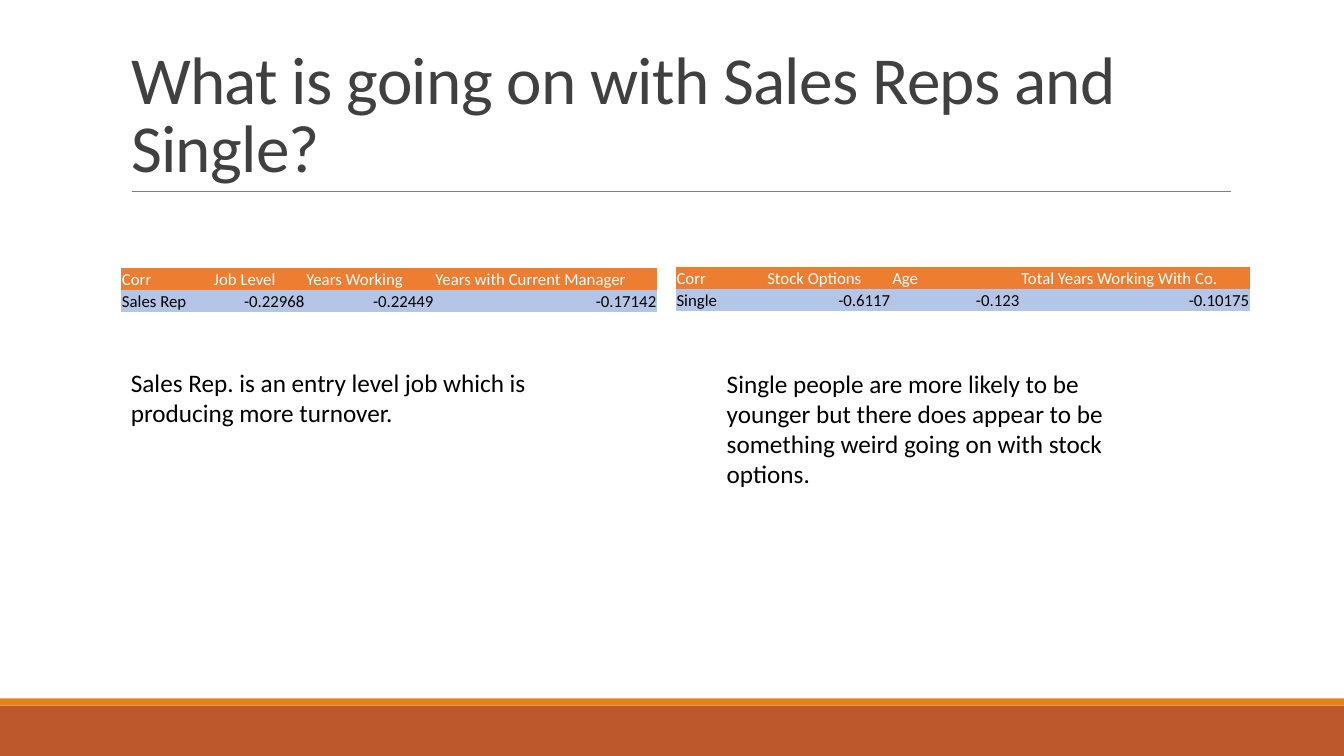
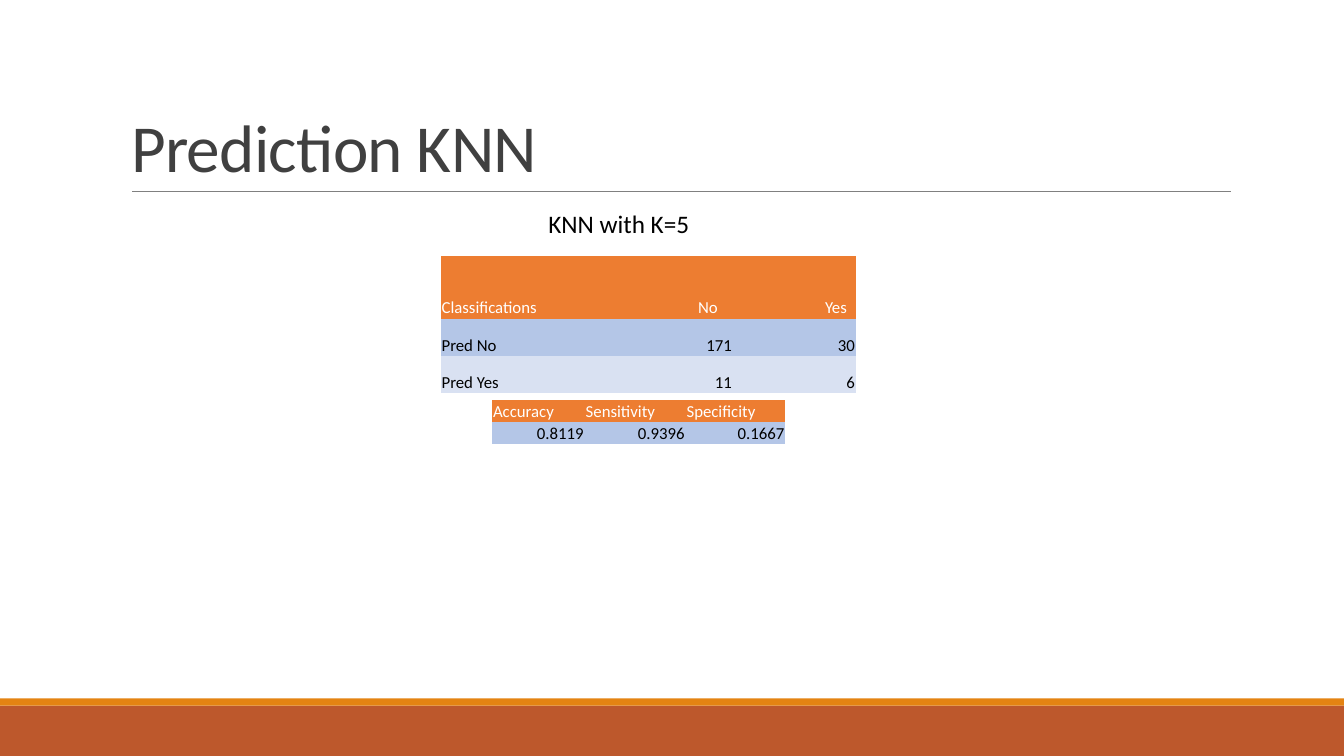
from lxml.etree import SubElement
from pptx import Presentation
from pptx.dml.color import RGBColor
from pptx.enum.shapes import MSO_CONNECTOR, MSO_SHAPE
from pptx.enum.text import MSO_ANCHOR, MSO_AUTO_SIZE, PP_ALIGN
from pptx.oxml.ns import qn
from pptx.util import Inches, Pt

FONT = "Calibri"
HEADER = "ED7D31"
BANDS = ["B4C6E7", "D9E1F2"]
NO_STYLE = "{2D5ABB26-0587-4C30-8999-92F81FD0307C}"
W, H = 13.33, 7.5
LEFT, RULE_Y = 1.2, 1.9


def color(hex_code):
    return RGBColor.from_string(hex_code)


def add_run(p, text, size, hex_code):
    r = p.add_run()
    r.text = text
    r.font.name = FONT
    r.font.size = Pt(size)
    r.font.color.rgb = color(hex_code)
    return r


prs = Presentation()
prs.slide_width, prs.slide_height = Inches(W), Inches(H)
layout = prs.slide_layouts[5]

slides = [
    {
        "title": "What is going on with Sales Reps and Single?",
        "tables": [
            {"at": (LEFT, 2.66), "cols": [0.91, 0.92, 1.28, 2.21], "rows": [0.22, 0.22],
             "cells": [["Corr", "Job Level", "Years Working", "Years with Current Manager"],
                       ["Sales Rep", "-0.22968", "-0.22449", "-0.17142"]]},
            {"at": (6.7, 2.65), "cols": [0.9, 1.24, 1.28, 2.28], "rows": [0.22, 0.22],
             "cells": [["Corr", "Stock Options", "Age", "Total Years Working With Co."],
                       ["Single", "-0.6117", "-0.123", "-0.10175"]]},
        ],
        "texts": [
            (LEFT, 3.59, 4.77, 0.71,
             "Sales Rep. is an entry level job which is producing more turnover."),
            (7.11, 3.6, 4.34, 1.31,
             "Single people are more likely to be younger but there does appear "
             "to be something weird going on with stock options."),
        ],
    },
    {
        "title": "Prediction KNN",
        "tables": [
            {"at": (4.37, 2.54), "cols": [1.68, 1.22, 1.22], "rows": [0.62, 0.37, 0.37],
             "header_insets": {1: 0.15, 2: 0.09},
             "cells": [["Classifications", "No", "Yes"],
                       ["Pred No", "171", "30"],
                       ["Pred Yes", "11", "6"]]},
            {"at": (4.88, 3.97), "cols": [0.92, 1, 0.99], "rows": [0.22, 0.22],
             "cells": [["Accuracy", "Sensitivity", "Specificity"],
                       ["0.8119", "0.9396", "0.1667"]]},
        ],
        "texts": [(5.34, 2.02, 3.41, 0.4, "KNN with K=5")],
    },
]

for number, content in enumerate(slides):
    s = prs.slides.add_slide(layout)

    if number == 0:
        for top, height, fill in [(7, 0.5, "BD582C"), (6.93, 0.07, "E48312")]:
            band = s.shapes.add_shape(MSO_SHAPE.RECTANGLE, 0, Inches(top), Inches(W), Inches(height))
            band.shadow.inherit = False
            band.fill.solid()
            band.fill.fore_color.rgb = color(fill)
            band.line.fill.background()
            layout.shapes.element.append(band.element)
        rule = s.shapes.add_connector(MSO_CONNECTOR.STRAIGHT, Inches(1.31), Inches(RULE_Y),
                                      Inches(12.21), Inches(RULE_Y))
        rule.line.color.rgb = color("808080")
        rule.line.width = Pt(0.5)
        SubElement(rule.element.spPr, qn("a:effectLst"))
        layout.shapes.element.append(rule.element)

    title = s.shapes.title
    title.left, title.top = Inches(LEFT), Inches(0.31)
    title.width, title.height = Inches(11), Inches(RULE_Y - 0.31)
    tf = title.text_frame
    tf.word_wrap = True
    tf.auto_size = MSO_AUTO_SIZE.NONE
    tf.vertical_anchor = MSO_ANCHOR.BOTTOM
    p = tf.paragraphs[0]
    p.alignment = PP_ALIGN.LEFT
    p.line_spacing = 0.85
    r = add_run(p, content["title"], 48, "404040")
    r.font.element.set("spc", "-50") if hasattr(r.font, "element") else r._r.get_or_add_rPr().set("spc", "-50")

    for spec_table in content["tables"]:
        cols, rows, cells = spec_table["cols"], spec_table["rows"], spec_table["cells"]
        insets = spec_table.get("header_insets", {})
        left, top = spec_table["at"]
        frame = s.shapes.add_table(len(rows), len(cols), Inches(left), Inches(top),
                                   Inches(sum(cols)), Inches(sum(rows)))
        for style in frame.element.iter(qn("a:tableStyleId")):
            style.text = NO_STYLE
        table = frame.table
        for column, width in zip(table.columns, cols):
            column.width = Inches(width)
        for i, height in enumerate(rows):
            table.rows[i].height = Inches(height)
            for j, text in enumerate(cells[i]):
                cell = table.cell(i, j)
                cell.fill.solid()
                cell.fill.fore_color.rgb = color(BANDS[i - 1] if i else HEADER)
                cell.vertical_anchor = MSO_ANCHOR.BOTTOM
                cell.margin_left = cell.margin_top = cell.margin_right = Inches(0.01)
                cell.margin_bottom = 0
                p = cell.text_frame.paragraphs[0]
                if i == 0 and j in insets:
                    cell.margin_right = Inches(insets[j])
                    p.alignment = PP_ALIGN.RIGHT
                elif text[-1].isdigit():
                    p.alignment = PP_ALIGN.RIGHT
                add_run(p, text, 12, "000000" if i else "FFFFFF")

    for left, top, width, height, text in content["texts"]:
        box = s.shapes.add_textbox(Inches(left), Inches(top), Inches(width), Inches(height))
        tf = box.text_frame
        tf.word_wrap = True
        tf.auto_size = MSO_AUTO_SIZE.SHAPE_TO_FIT_TEXT
        add_run(tf.paragraphs[0], text, 18, "000000")

prs.save("out.pptx")
